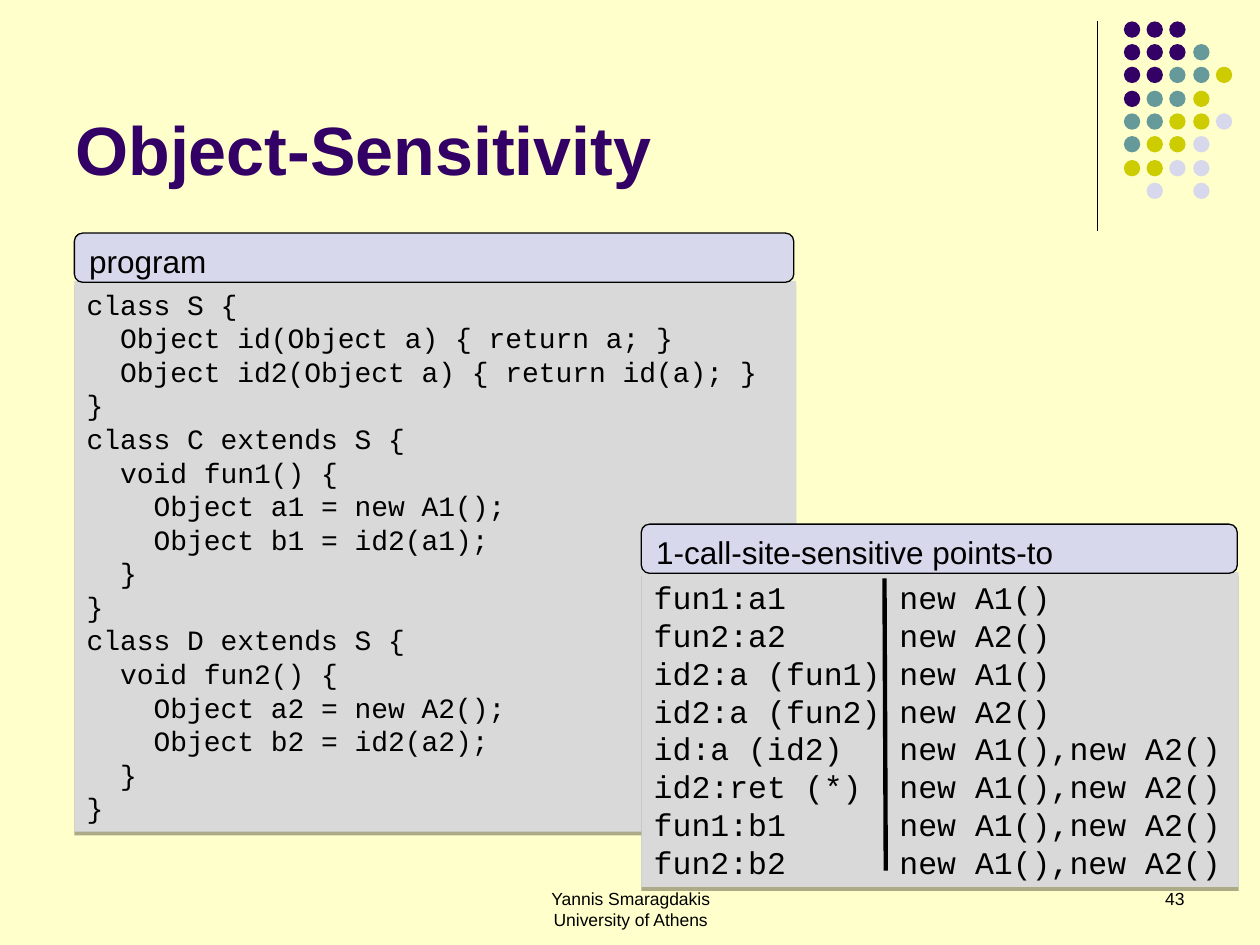
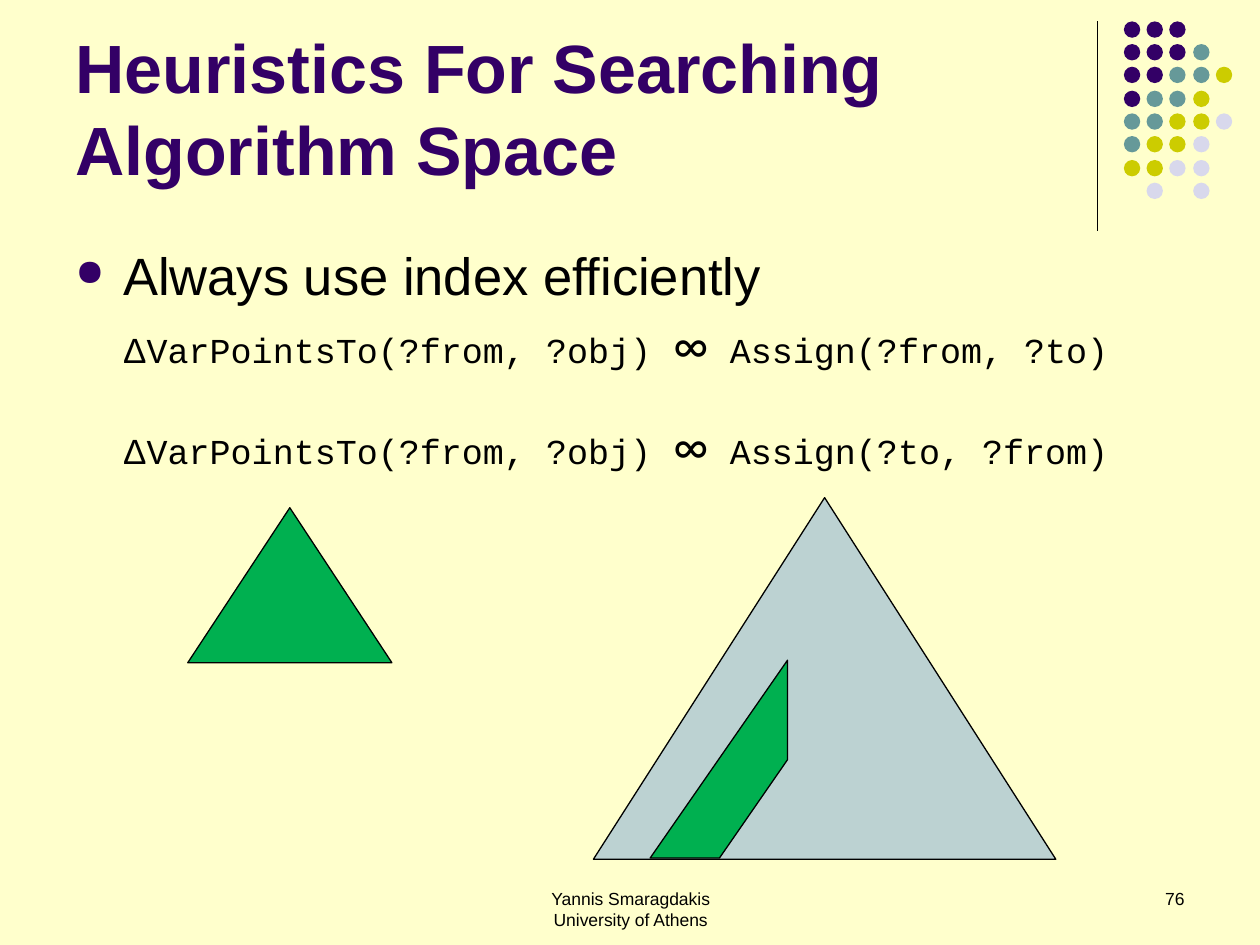
import lxml.etree
import pptx
import pptx.dml.color
import pptx.enum.shapes
import pptx.enum.text
import pptx.oxml.ns
import pptx.util

PX = 9144  # one px is a hundredth of an inch
INK, TEAL, OLIVE, LILAC = "330066", "669999", "CCCC00", "D8D8EC"
BLACK, GREEN, GREY = "000000", "00B050", "D9D9D9"
SANS, MONO, SYMBOL = "Arial", "Courier New", "Lato"
KINDS = pptx.enum.shapes.MSO_SHAPE
ALIGN = pptx.enum.text.PP_ALIGN
ANCHOR = pptx.enum.text.MSO_ANCHOR
color = pptx.dml.color.RGBColor.from_string
qn = pptx.oxml.ns.qn


def add_box(slide, place, kind=None, fill=None, line=None):
    """Add a preset shape, or a text box when no kind is given."""
    place = [value * PX for value in place]
    if kind is None:
        return slide.shapes.add_textbox(*place)
    shape = slide.shapes.add_shape(kind, *place)
    shape.shadow.inherit = False
    shape.fill.solid()
    shape.fill.fore_color.rgb = color(fill)
    if line:
        shape.line.color.rgb = color(line)
        shape.line.width = pptx.util.Pt(0.75)
    else:
        shape.line.fill.background()
    return shape


def write(shape, lines, size, name=SANS, ink=BLACK, bold=False,
          align=ALIGN.LEFT, anchor=ANCHOR.TOP):
    """Fill a shape with lines; a line is a string or a list of (text, font, size)."""
    frame = shape.text_frame
    frame.word_wrap = True
    frame.vertical_anchor = anchor
    for index, line in enumerate(lines):
        paragraph = frame.add_paragraph() if index else frame.paragraphs[0]
        runs = [(line, name, size)] if isinstance(line, str) else line
        paragraph.alignment = align
        tallest = max(run_size for _, _, run_size in runs)
        paragraph.line_spacing = pptx.util.Pt(tallest * 1.2)
        for text, run_name, run_size in runs:
            run = paragraph.add_run()
            run.text = text
            formats = {"name": run_name, "size": pptx.util.Pt(run_size), "bold": bold}
            for attribute, value in formats.items():
                setattr(run.font, attribute, value)
            run.font.color.rgb = color(ink)
    return frame.paragraphs


presentation = pptx.Presentation()
presentation.slide_width = 1000 * PX
presentation.slide_height = 750 * PX
background = presentation.slide_master.background.fill
background.solid()
background.fore_color.rgb = color("FFFFCC")

# Shared parts: dot pattern, title, footer and slide number
DOT_COLORS = {"I": INK, "T": TEAL, "O": OLIVE, "L": LILAC}
DOT_ROWS = ["III", "IIIT", "IITTO", "ITTO", "TTOOL", "TOOL", "OOLL", " L L"]
TITLES = [
    ("Object-Sensitivity", "43"),
    ("Heuristics For Searching Algorithm Space", "76"),
]
slides = []
for title, number in TITLES:
    slide = presentation.slides.add_slide(presentation.slide_layouts[6])
    slides.append(slide)
    for row, pattern in enumerate(DOT_ROWS):
        for column, key in enumerate(pattern):
            if key in DOT_COLORS:
                place = (892 + column * 55 // 3, 17 + row * 55 // 3, 13, 13)
                add_box(slide, place, KINDS.OVAL, DOT_COLORS[key])
    write(add_box(slide, (50, 13, 825, 142)), [title], 39, ink=INK, bold=True,
          anchor=ANCHOR.BOTTOM)
    write(add_box(slide, (717, 700, 233, 50)), [number], 10, align=ALIGN.RIGHT)
    write(add_box(slide, (342, 700, 317, 50)),
          ["Yannis Smaragdakis", "University of Athens"], 10, align=ALIGN.CENTER)
sensitivity, heuristics = slides

# Slide 1: code panels with header tabs
PROGRAM = """class S {
  Object id(Object a) { return a; }
  Object id2(Object a) { return id(a); }
}
class C extends S {
  void fun1() {
    Object a1 = new A1();
    Object b1 = id2(a1);
  }
}
class D extends S {
  void fun2() {
    Object a2 = new A2();
    Object b2 = id2(a2);
  }
}"""
POINTS_TO = """fun1:a1\tnew A1()
fun2:a2\tnew A2()
id2:a (fun1)\tnew A1()
id2:a (fun2)\tnew A2()
id:a (id2)\tnew A1(),new A2()
id2:ret (*)\tnew A1(),new A2()
fun1:b1\tnew A1(),new A2()
fun2:b2\tnew A1(),new A2()"""
PANELS = [
    ("program", PROGRAM, 16, (59, 223, 573, 437), (59, 185, 571, 39)),
    ("1-call-site-sensitive points-to", POINTS_TO, 18,
     (509, 454, 474, 250), (509, 416, 473, 39)),
]
for heading, code, size, body_place, header_place in PANELS:
    body = add_box(sensitivity, body_place, KINDS.RECTANGLE, GREY)
    effects = body._element.spPr.find(qn("a:effectLst"))
    shadow = lxml.etree.SubElement(effects, qn("a:outerShdw"), blurRad="0",
                                   dist="27940", dir="5400000", rotWithShape="0")
    tint = lxml.etree.SubElement(shadow, qn("a:srgbClr"), val=BLACK)
    lxml.etree.SubElement(tint, qn("a:alpha"), val="32000")
    for paragraph in write(body, code.split("\n"), size, MONO):
        if "\t" in paragraph.text:
            properties = paragraph._p.get_or_add_pPr()
            tabs = lxml.etree.SubElement(properties, qn("a:tabLst"))
            lxml.etree.SubElement(tabs, qn("a:tab"), pos=str(195 * PX), algn="l")
    header = add_box(sensitivity, header_place, KINDS.ROUNDED_RECTANGLE, LILAC, BLACK)
    write(header, [heading], 18)

# Slide 2: bullet and the two joins
joins = [
    [("Δ", SANS, 20), ("VarPointsTo(?from, ?obj) ", MONO, 20), ("∞", SYMBOL, 28),
     (f" Assign({arguments})", MONO, 20)]
    for arguments in ("?from, ?to", "?to, ?from")
]
bullet, first_join, second_join = write(
    add_box(heuristics, (50, 188, 900, 482)),
    ["Always use index efficiently", *joins], 30)
for paragraph, indent in ((bullet, -38), (first_join, 0), (second_join, 0)):
    properties = paragraph._p.get_or_add_pPr()
    properties.set("marL", str(38 * PX))
    properties.set("indent", str(indent * PX))
first_join.space_before = pptx.util.Pt(5)
second_join.space_before = pptx.util.Pt(24)
properties = bullet._p.get_or_add_pPr()
bullet_color = lxml.etree.SubElement(properties, qn("a:buClr"))
lxml.etree.SubElement(bullet_color, qn("a:srgbClr"), val=INK)
lxml.etree.SubElement(properties, qn("a:buSzPct"), val="70000")
lxml.etree.SubElement(properties, qn("a:buChar"), char="●")

# Slide 2: index triangles and the scanned slice
add_box(heuristics, (149, 403, 162, 123), KINDS.ISOSCELES_TRIANGLE, GREEN, BLACK)
add_box(heuristics, (471, 395, 367, 287), KINDS.ISOSCELES_TRIANGLE, "BCD2D2", BLACK)
builder = heuristics.shapes.build_freeform(625, 603, scale=PX)
builder.add_line_segments([(571, 681), (516, 681), (625, 524)], close=True)
index_slice = builder.convert_to_shape()
index_slice.shadow.inherit = False
index_slice.fill.solid()
index_slice.fill.fore_color.rgb = color(GREEN)
index_slice.line.color.rgb = color(BLACK)
index_slice.line.width = pptx.util.Pt(0.75)

# Rules beside the dots, and the divider of the points-to panel
RULES = [(slide, (871, 17, 871, 183), 0.75) for slide in slides]
RULES.append((sensitivity, (702, 459, 703, 691), 2.5))
for slide, ends, width in RULES:
    rule = slide.shapes.add_connector(pptx.enum.shapes.MSO_CONNECTOR.STRAIGHT,
                                      *[end * PX for end in ends])
    rule.line.color.rgb = color(BLACK)
    rule.line.width = pptx.util.Pt(width)
    lxml.etree.SubElement(rule._element.spPr, qn("a:effectLst"))

presentation.save("out.pptx")
